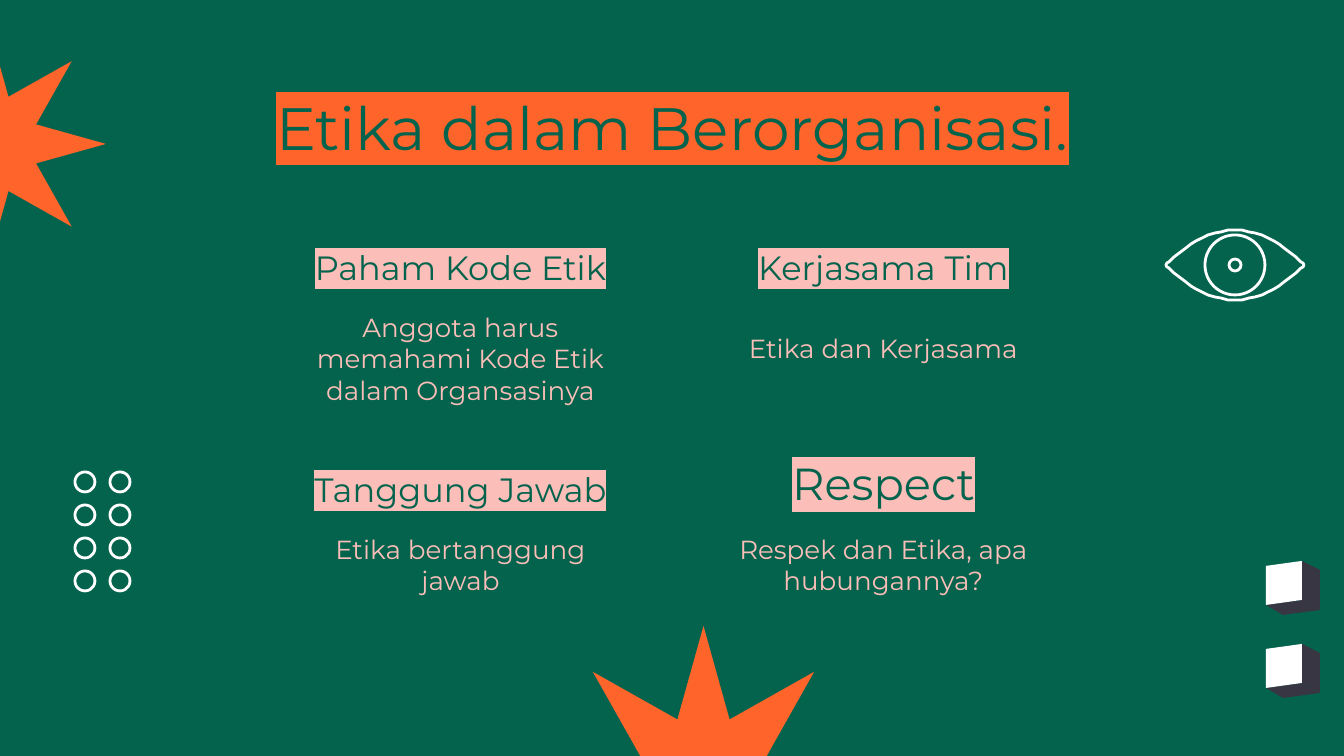
from lxml import etree
from pptx import Presentation
from pptx import util as u
from pptx.dml.color import RGBColor
from pptx.enum import shapes, text
from pptx.oxml.ns import qn

SCALE = 914400 / 134.4  # EMU in one px
GREEN, ORANGE, PINK, WHITE, DARK = "04634D", "FF642B", "FBBEB8", "FFFFFF", "383642"
FONT = "Montserrat"


def px(length):
    return u.Emu(round(length * SCALE))


def colour(value):
    return RGBColor.from_string(value)


def cubic(start, first, second, end, steps=16):
    """Points along a cubic curve, without its start."""
    points = []
    for step in range(1, steps + 1):
        t = step / steps
        weights = ((1 - t) ** 3, 3 * t * (1 - t) ** 2, 3 * t * t * (1 - t), t ** 3)
        corners = (start, first, second, end)
        points.append(tuple(sum(w * c[axis] for w, c in zip(weights, corners))
                            for axis in (0, 1)))
    return points


class Painter:
    def __init__(self, slide):
        self.slide = slide

    def paint(self, shape, fill=None, line=None):
        shape.shadow.inherit = False
        if fill:
            shape.fill.solid()
            shape.fill.fore_color.rgb = colour(fill)
        else:
            shape.fill.background()
        if line:
            shape.line.color.rgb = colour(line)
            shape.line.width = u.Pt(1.5)
        else:
            shape.line.fill.background()
        return shape

    def polygon(self, points, fill=None, line=None):
        builder = self.slide.shapes.build_freeform(*points[0], scale=SCALE)
        builder.add_line_segments(points[1:], close=True)
        return self.paint(builder.convert_to_shape(), fill, line)

    def ring(self, left, top, size):
        shape = self.slide.shapes.add_shape(
            shapes.MSO_SHAPE.OVAL, px(left), px(top), px(size), px(size))
        return self.paint(shape, line=WHITE)

    def star(self, left, top, size):
        shape = self.slide.shapes.add_shape(
            shapes.MSO_SHAPE.STAR_8_POINT, px(left), px(top), px(size), px(size))
        shape.adjustments[0] = 0.218
        return self.paint(shape, ORANGE)

    def cube(self, left, top):
        def place(points):
            return [(left + x, top + y) for x, y in points]
        self.polygon(place([(36, 0), (54, 9), (54, 49), (36, 39)]), DARK)
        self.polygon(place([(0, 44), (17, 54), (54, 49), (36, 39)]), DARK)
        self.polygon(place([(0, 5), (36, 0), (36, 39), (0, 44)]), WHITE)

    def eye(self, x, y):
        left, right, top, bottom = (x - 69, y), (x + 69, y), (x, y - 35), (x, y + 35)
        outline = [top]
        outline += cubic(top, (x - 38, y - 35), left, left)
        outline += cubic(left, left, (x - 38, y + 35), bottom)
        outline += cubic(bottom, (x + 38, y + 35), right, right)
        outline += cubic(right, right, (x + 38, y - 35), top)
        self.polygon(outline[:-1], line=WHITE)
        for radius in (30, 6):
            self.ring(x - radius, y - radius, 2 * radius)

    def label(self, box, area, words, size, ink, highlight=None, anchor="TOP"):
        box.left, box.top, box.width, box.height = map(px, area)
        frame = box.text_frame
        frame.word_wrap = True
        frame.auto_size = text.MSO_AUTO_SIZE.NONE
        frame.vertical_anchor = text.MSO_ANCHOR[anchor]
        frame.margin_left = frame.margin_right = u.Inches(0.1)
        frame.margin_top = frame.margin_bottom = u.Inches(0.1)
        para = frame.paragraphs[0]
        para.alignment = text.PP_ALIGN.CENTER
        para.space_before = u.Pt(0)
        span = para.add_run()
        span.text = words
        # No bullet and no hanging indent
        props = para._p.get_or_add_pPr()
        props.set("marL", "0")
        props.set("indent", "0")
        etree.SubElement(props, qn("a:buNone"))
        font = para.font
        font.name, font.size, font.bold = FONT, u.Pt(size), False
        font.color.rgb = colour(ink)
        if highlight:
            mark = etree.SubElement(span._r.get_or_add_rPr(), qn("a:highlight"))
            etree.SubElement(mark, qn("a:srgbClr")).set("val", highlight)

    def heading(self, left, top, words, size):
        box = self.slide.shapes.add_textbox(0, 0, 0, 0)
        self.label(box, (left, top, 361, 85), words, size, GREEN, PINK, "BOTTOM")


def main():
    deck = Presentation()
    deck.slide_width, deck.slide_height = px(1344), px(756)
    slide = deck.slides.add_slide(deck.slide_layouts.get_by_name("Comparison"))
    slide.background.fill.solid()
    slide.background.fill.fore_color.rgb = colour(GREEN)
    painter = Painter(slide)

    # Cubes and stars
    for top in (644, 561):
        painter.cube(1266, top)
    painter.star(547, 626, 313)
    painter.star(-128, 27, 234)

    # Title
    painter.label(slide.shapes.title, (106, 77, 1133, 85),
                  "Etika dalam Berorganisasi.", 32, GREEN, ORANGE)

    # Four topics: left, heading top, heading, size, body top, body
    topics = [
        (280, 216, "Paham Kode Etik", 18, 298,
         "Anggota harus memahami Kode Etik dalam Organsasinya"),
        (703, 216, "Kerjasama Tim", 18, 319, "Etika dan Kerjasama"),
        (280, 438, "Tanggung Jawab", 18, 520, "Etika bertanggung jawab"),
        (703, 438, "Respect", 24, 520, "Respek dan Etika, apa hubungannya?"),
    ]
    for index, (left, top, name, size, body_top, body) in enumerate(topics, 1):
        painter.heading(left, top, name, size)
        painter.label(slide.placeholders[index], (left, body_top, 361, 85),
                      body, 14, PINK)

    # Eye
    painter.eye(1235, 265)

    # Grid of rings
    for column in range(2):
        for row in range(4):
            painter.ring(75 + 35 * column, 472 + 33 * row, 20)

    deck.save("out.pptx")


if __name__ == "__main__":
    main()
